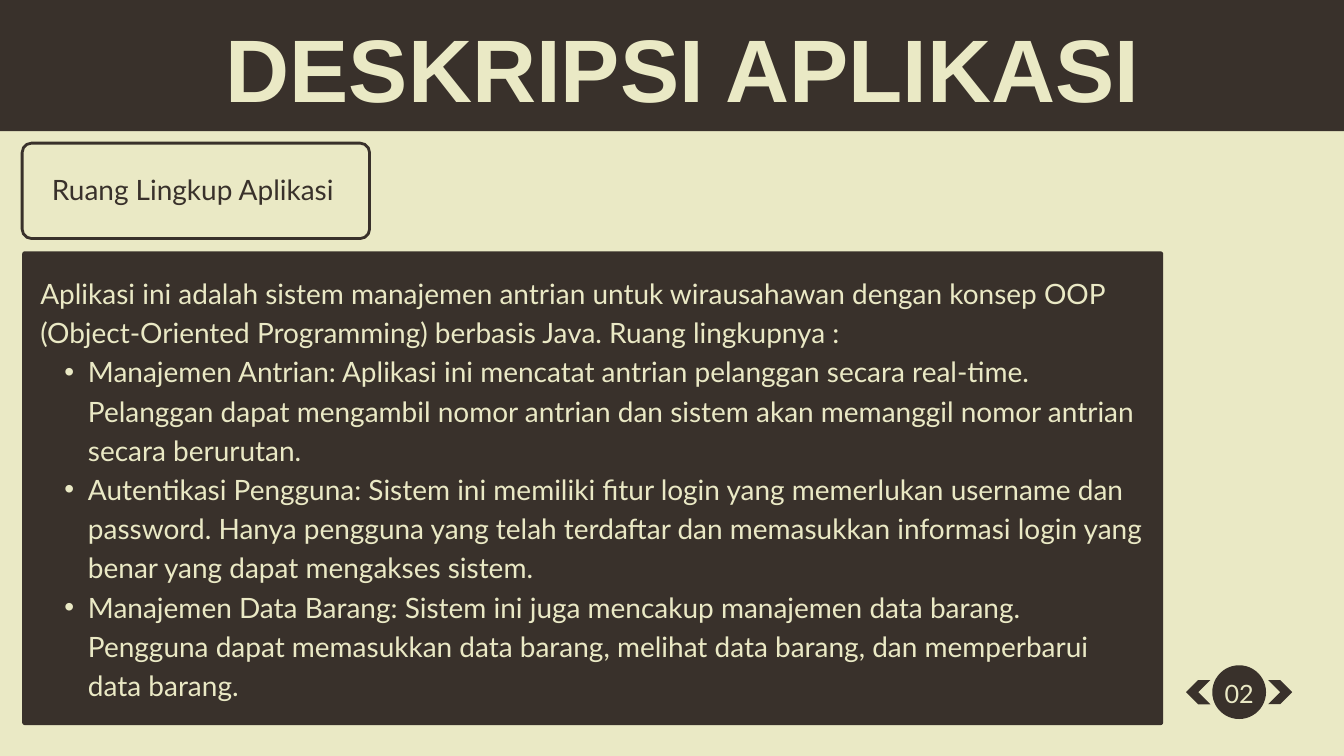
from collections import namedtuple

from lxml.etree import SubElement
from pptx import Presentation
from pptx.dml.color import RGBColor
from pptx.enum.shapes import MSO_SHAPE as SHAPE
from pptx.enum.text import MSO_AUTO_SIZE as AUTO, PP_ALIGN as ALIGN
from pptx.oxml.ns import qn
from pptx.util import Inches, Pt

COLORS = {"dark": "39312B", "cream": "EAE9C5"}
CELL = Inches(1)
COLUMNS, ROWS = 20, 11.25
BULLET_INDENT, BULLET_HANG = 0.71, 0.35

FORMATS = {
    "title": {"name": "Arial", "size": Pt(95.1), "bold": True},
    "number": {"name": "Lato", "size": Pt(27)},
    "body": {"name": "Lato", "size": Pt(30)},
}

INTRO = (
    "Aplikasi ini adalah sistem manajemen antrian untuk wirausahawan dengan konsep OOP "
    "(Object-Oriented Programming) berbasis Java. Ruang lingkupnya :"
)
SCOPE = [
    "Manajemen Antrian: Aplikasi ini mencatat antrian pelanggan secara real-time. "
    "Pelanggan dapat mengambil nomor antrian dan sistem akan memanggil nomor antrian "
    "secara berurutan.",
    "Autentikasi Pengguna: Sistem ini memiliki fitur login yang memerlukan username dan "
    "password. Hanya pengguna yang telah terdaftar dan memasukkan informasi login yang "
    "benar yang dapat mengakses sistem.",
    "Manajemen Data Barang: Sistem ini juga mencakup manajemen data barang. "
    "Pengguna dapat memasukkan data barang, melihat data barang, dan memperbarui "
    "data barang.",
]

Box = namedtuple("Box", "left top width height")


def inside(box, left, top, width, height):
    return Box(box.left + left, box.top + top, width, height)


def emu(box):
    return [int(length * CELL) for length in box]


def color(name):
    return RGBColor.from_string(COLORS[name])


def add_block(slide, kind, box, fill=None, line=None, corner=None):
    block = slide.shapes.add_shape(kind, *emu(box))
    block.shadow.inherit = False
    if fill:
        block.fill.solid()
        block.fill.fore_color.rgb = color(fill)
    else:
        block.fill.background()
    if line:
        block.line.color.rgb = color(line)
        block.line.width = Pt(3)
    else:
        block.line.fill.background()
    if corner:
        block.adjustments[0] = corner / min(box.width, box.height)
    return block


def add_bullet(paragraph):
    properties = paragraph._p.get_or_add_pPr()
    properties.set("marL", str(int(BULLET_INDENT * CELL)))
    properties.set("indent", str(int(-BULLET_HANG * CELL)))
    SubElement(properties, qn("a:buFont")).set("typeface", "Arial")
    SubElement(properties, qn("a:buChar")).set("char", "•")


def add_words(slide, box, intro, style, ink, spacing, align=ALIGN.CENTER, bullets=()):
    frame = slide.shapes.add_textbox(*emu(box)).text_frame
    settings = {"word_wrap": True, "auto_size": AUTO.SHAPE_TO_FIT_TEXT, "margin_left": 0,
                "margin_top": 0, "margin_right": 0, "margin_bottom": 0}
    for key, value in settings.items():
        setattr(frame, key, value)
    for index, wording in enumerate([intro, *bullets]):
        paragraph = frame.add_paragraph() if index else frame.paragraphs[0]
        if index:
            paragraph.level = 1
            add_bullet(paragraph)
        paragraph.alignment = align
        paragraph.line_spacing = Pt(spacing)
        run = paragraph.add_run()
        run.text = wording
        for key, value in FORMATS[style].items():
            setattr(run.font, key, value)
        run.font.color.rgb = color(ink)


def add_header(slide, box):
    add_block(slide, SHAPE.RECTANGLE, box, fill="dark")
    title = inside(box, 0.33, -0.06, box.width - 0.33, 1.7)
    add_words(slide, title, "DESKRIPSI APLIKASI", "title", "cream", 133.2)


def add_tag(slide, box):
    add_block(slide, SHAPE.ROUNDED_RECTANGLE, box, line="dark", corner=0.14)
    label = inside(box, -0.09, 0.52, box.width + 0.09, 0.45)
    add_words(slide, label, "Ruang Lingkup Aplikasi", "body", "dark", 30)


def add_panel(slide, box):
    add_block(slide, SHAPE.ROUNDED_RECTANGLE, box, fill="dark", corner=0.04)
    story = inside(box, 0.27, 0.29, box.width - 0.54, box.height - 0.64)
    add_words(slide, story, INTRO, "body", "cream", 42, ALIGN.LEFT, SCOPE)


def add_pager(slide, box):
    disc, arrow = 0.8, 0.36
    arrow_top = (box.height - arrow) / 2
    add_block(slide, SHAPE.OVAL,
              inside(box, (box.width - disc) / 2, 0, disc, disc), fill="dark")
    for left, turn in ((0, 180), (box.width - arrow, 0)):
        chevron = add_block(slide, SHAPE.CHEVRON,
                            inside(box, left, arrow_top, arrow, arrow), fill="dark")
        chevron.rotation = turn
    number = inside(box, 0.42, 0.12, box.width - 0.84, 0.5)
    add_words(slide, number, "02", "number", "cream", 37.8)


def main():
    deck = Presentation()
    deck.slide_width, deck.slide_height = int(COLUMNS * CELL), int(ROWS * CELL)
    slide = deck.slides.add_slide(deck.slide_layouts[6])
    slide.background.fill.solid()
    slide.background.fill.fore_color.rgb = color("cream")
    add_header(slide, Box(0, 0, COLUMNS, 1.95))
    add_tag(slide, Box(0.33, 2.13, 5.17, 1.42))
    add_panel(slide, Box(0.33, 3.74, 16.98, 7.05))
    add_pager(slide, Box(17.65, 9.9, 1.58, 0.8))
    deck.save("out.pptx")


if __name__ == "__main__":
    main()
